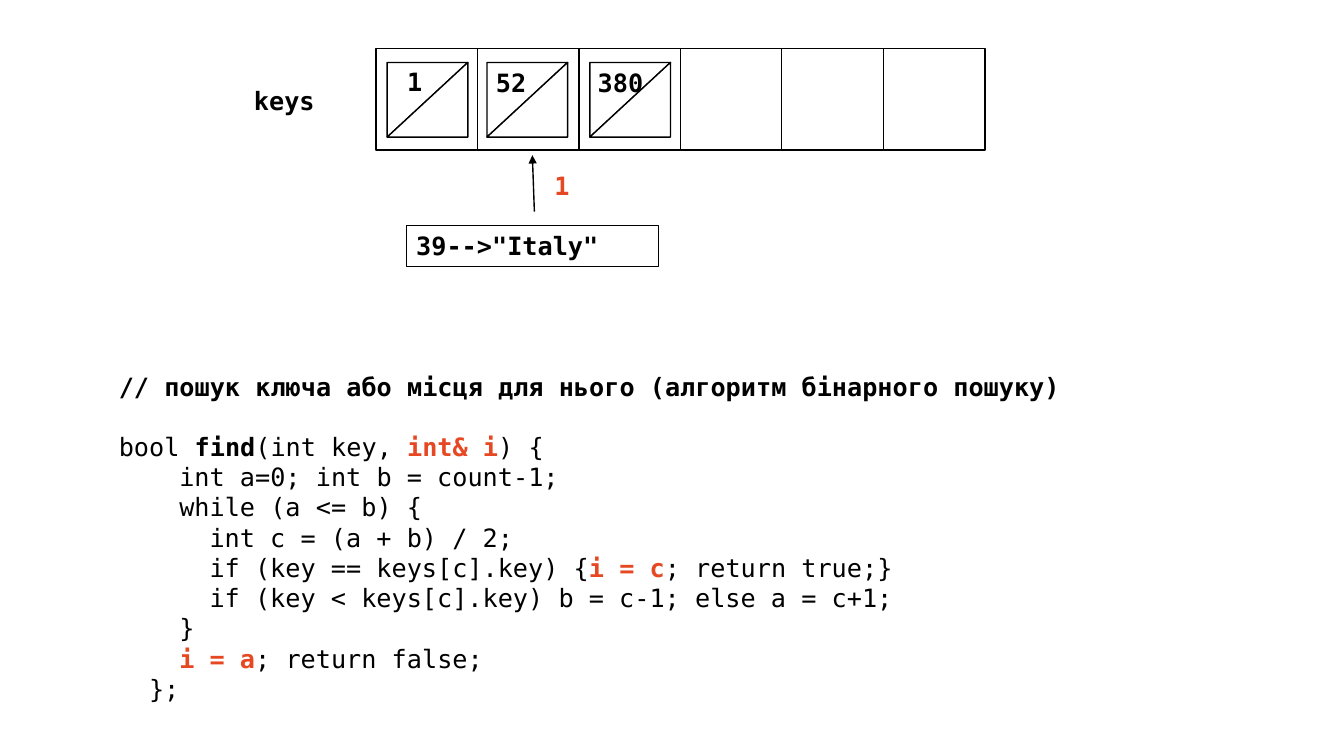
from lxml.etree import SubElement
from pptx import Presentation
from pptx.dml.color import RGBColor
from pptx.enum.shapes import MSO_CONNECTOR as LINK, MSO_SHAPE as SHAPE
from pptx.oxml.ns import qn
from pptx.util import Inches, Pt

BLACK = RGBColor(0x00, 0x00, 0x00)
WHITE = RGBColor(0xFF, 0xFF, 0xFF)
RED = RGBColor(0xE6, 0x48, 0x23)
CHAR = 0.15  # width of one letter of code
PLAIN = {"bold": False}
BOLD = {"bold": True}
HOT = {"bold": True, "color": RED}

deck = Presentation()
deck.slide_width, deck.slide_height = Inches(13.33), Inches(7.5)
slide = deck.slides.add_slide(deck.slide_layouts[6])
shapes = slide.shapes


def add_text(left, top, width, height, lines):
    """Add a box of lines, each an indent in letters and its styled pieces."""
    box = shapes.add_textbox(*map(Inches, (left, top, width, height)))
    frame = box.text_frame
    frame.word_wrap = True
    for num, (indent, parts) in enumerate(lines):
        para = frame.add_paragraph() if num else frame.paragraphs[0]
        para._p.get_or_add_pPr().set("marL", str(Inches(indent * CHAR)))
        for text, style in parts:
            run = para.add_run()
            run.text = text
            look = {"name": "DejaVu Sans Mono", "size": Pt(18), "color": BLACK} | style
            run.font.color.rgb = look.pop("color")
            for key, value in look.items():
                setattr(run.font, key, value)
    return box


def add_box(group, kind, left, top, width, height, turn=0):
    box = group.add_shape(kind, *map(Inches, (left, top, width, height)))
    box.shadow.inherit = False
    box.rotation = turn
    box.fill.solid()
    box.fill.fore_color.rgb = WHITE
    box.line.color.rgb = BLACK
    box.line.width = Pt(1)


# Code of the search
code = add_text(1.08, 3.63, 9.7, 3.43, [
    (0, [("// пошук ключа або місця для нього (алгоритм бінарного пошуку)", BOLD)]),
    (0, [("bool ", PLAIN), ("find", BOLD), ("(int key, ", PLAIN),
         ("int& i", HOT), (") {", PLAIN)]),
    (4, [("int a=0; int b = count-1;", PLAIN)]),
    (4, [("while (a <= b) {", PLAIN)]),
    (6, [("int c = (a + b) / 2;", PLAIN)]),
    (6, [("if (key == keys[c].key) {", PLAIN), ("i = c", HOT),
         ("; return true;}", PLAIN)]),
    (6, [("if (key < keys[c].key) b = c-1; else a = c+1;", PLAIN)]),
    (4, [("}", PLAIN)]),
    (4, [("i = a", HOT), ("; return false;", PLAIN)]),
    (2, [("};", PLAIN)]),
])
code.text_frame.paragraphs[1].space_before = Pt(21.6)

# Row of keys
for col in range(6):
    add_box(shapes, SHAPE.RECTANGLE, 3.73 + col * 1.006, 0.48, 1.01, 1.01)
for left in (3.87, 4.86, 5.88):
    pair = shapes.add_group_shape().shapes
    for turn in (90, 270):
        add_box(pair, SHAPE.RIGHT_TRIANGLE, left, 0.59, 0.74, 0.8, turn)

# Labels
for text, left, top, width, style in (
    ("keys", 2.42, 0.8, 1.88, BOLD),
    ("1", 3.94, 0.61, 0.45, BOLD),
    ("52", 4.82, 0.62, 0.81, BOLD),
    ("380", 5.83, 0.62, 0.81, BOLD),
    ("1", 5.4, 1.64, 0.45, HOT),
):
    add_text(left, top, width, 0.4, [(0, [(text, style)])])

# New entry and its place
entry = add_text(4.03, 2.24, 2.5, 0.4, [(0, [('39-->"Italy"', BOLD)])])
entry.line.color.rgb = BLACK
entry.line.width = Pt(0.75)
arrow = shapes.add_connector(LINK.STRAIGHT, *map(Inches, (5.3, 2.1, 5.28, 1.54)))
arrow.line.color.rgb = BLACK
arrow.line.width = Pt(1)
SubElement(arrow.line._get_or_add_ln(), qn("a:tailEnd"), type="triangle")
SubElement(arrow._element.spPr, qn("a:effectLst"))

deck.save("out.pptx")
